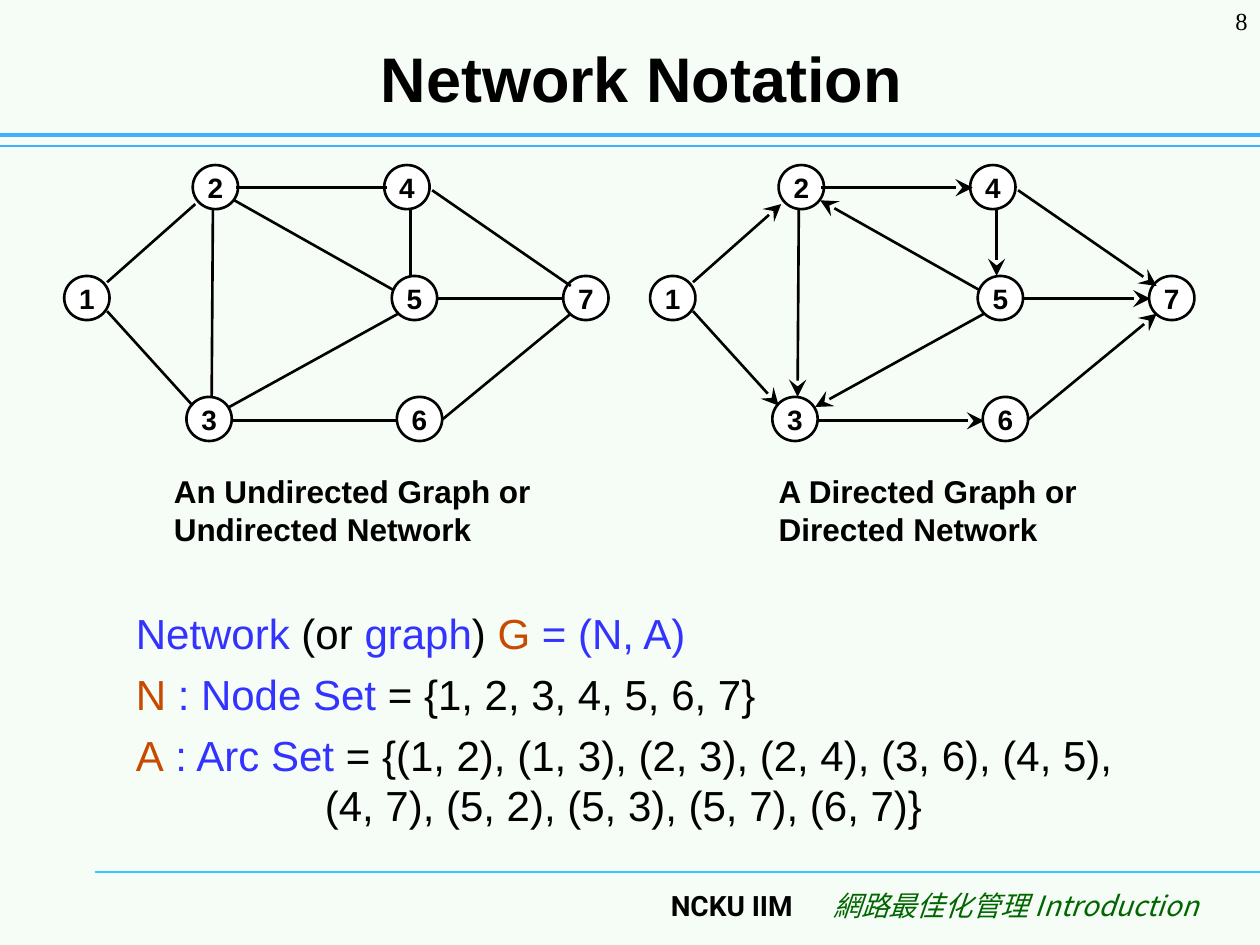
"""Build the Network Notation slide: two example graphs and the set notation."""
from dataclasses import dataclass

from lxml.etree import SubElement
from pptx import Presentation
from pptx.dml.color import RGBColor
from pptx.enum.shapes import MSO_CONNECTOR as Connector, MSO_SHAPE as Shape
from pptx.enum.text import MSO_ANCHOR as Anchor, PP_ALIGN as Align
from pptx.oxml.ns import qn
from pptx.util import Inches, Pt


@dataclass(frozen=True)
class Theme:
    background: str = "F6FCF6"
    ink: str = "000000"
    node: str = "FFFFFF"
    term: str = "3333FF"
    symbol: str = "C64B00"
    course: str = "006600"
    rule: str = "3DB0FF"
    footer_rule: str = "33CCFF"
    font: str = "Arial"
    number_font: str = "Times New Roman"
    unit_font: str = "Roboto"
    course_font: str = "Noto Sans CJK SC"
    title_size: int = 36
    body_size: int = 24
    caption_size: int = 18
    label_size: int = 16
    number_size: int = 14
    stroke: float = 1.5


THEME = Theme()
TITLE = "Network Notation"
PAGE_NUMBER = "8"
UNIT = "NCKU IIM"
COURSE = "網路最佳化管理 Introduction"

NODE_SIZE = (0.36, 0.35)
NODES = {
    1: (0.51, 2.19), 2: (1.53, 1.31), 3: (1.48, 3.15), 4: (3.05, 1.31),
    5: (3.11, 2.19), 6: (3.15, 3.15), 7: (4.47, 2.19),
}
ARCS = {
    (1, 2): (0.85, 2.24, 1.55, 1.62),
    (1, 3): (0.85, 2.47, 1.53, 3.22),
    (2, 3): (1.69, 1.66, 1.68, 3.15),
    (2, 4): (1.87, 1.49, 3.07, 1.49),
    (3, 6): (1.85, 3.34, 3.16, 3.34),
    (6, 7): (3.51, 3.33, 4.53, 2.49),
    (5, 7): (3.46, 2.37, 4.48, 2.37),
    (4, 7): (3.43, 1.51, 4.53, 2.27),
    (4, 5): (3.26, 1.66, 3.26, 2.19),
    (5, 2): (3.12, 2.30, 1.86, 1.59),
    (5, 3): (3.16, 2.49, 1.82, 3.23),
}
GRAPHS = [
    {"shift": 0, "directed": False, "caption_at": (1.38, 3.75, 2.9, 0.6),
     "caption": ["An Undirected Graph or", "Undirected Network"]},
    {"shift": 4.65, "directed": True, "caption_at": (6.18, 3.75, 2.45, 0.6),
     "caption": ["A Directed Graph or", "Directed Network"]},
]
RULES = [
    ((0.75, 6.92, 10, 6.92), THEME.footer_rule, 0.75),
    ((0, 1.16, 10, 1.16), THEME.rule, 0.75),
    ((0, 1.07, 10, 1.07), THEME.rule, 2.5),
]
HANGING = 1.5
NOTATION = [
    [("Network", THEME.term), (" (or ", THEME.ink), ("graph", THEME.term),
     (") ", THEME.ink), ("G", THEME.symbol), (" = (N, A)", THEME.term)],
    [("N", THEME.symbol), (" : Node Set", THEME.term),
     (" = {1, 2, 3, 4, 5, 6, 7}", THEME.ink)],
    [("A", THEME.symbol), (" : Arc Set", THEME.term),
     (" = {(1, 2), (1, 3), (2, 3), (2, 4), (3, 6), (4, 5), "
      "(4, 7), (5, 2), (5, 3), (5, 7), (6, 7)}", THEME.ink)],
]


def rgb(color):
    return RGBColor.from_string(color)


def inches(values):
    return [Inches(value) for value in values]


def add_run(paragraph, text, size, color=THEME.ink, font=THEME.font, bold=False, italic=False):
    run = paragraph.add_run()
    run.text = text
    run.font.size, run.font.name = Pt(size), font
    run.font.bold, run.font.italic = bold, italic
    run.font.color.rgb = rgb(color)
    return run


def add_frame(shapes, box, wrap=True):
    frame = shapes.add_textbox(*inches(box)).text_frame
    frame.word_wrap = wrap
    return frame


def add_line(shapes, ends, color, width, arrow=False):
    line = shapes.add_connector(Connector.STRAIGHT, *inches(ends))
    line.line.color.rgb = rgb(color)
    line.line.width = Pt(width)
    properties = line.element.spPr
    if arrow:
        SubElement(properties.find(qn("a:ln")), qn("a:tailEnd"),
                   type="stealth", w="lg", len="lg")
    SubElement(properties, qn("a:effectLst"))


def add_node(shapes, number, left, top):
    node = shapes.add_shape(Shape.OVAL, *inches((left, top, *NODE_SIZE)))
    node.shadow.inherit = False
    node.fill.solid()
    node.fill.fore_color.rgb = rgb(THEME.node)
    node.line.color.rgb = rgb(THEME.ink)
    node.line.width = Pt(THEME.stroke)
    frame = node.text_frame
    frame.margin_left = frame.margin_right = frame.margin_top = frame.margin_bottom = 0
    frame.vertical_anchor, frame.word_wrap = Anchor.MIDDLE, False
    frame.paragraphs[0].alignment = Align.CENTER
    add_run(frame.paragraphs[0], str(number), THEME.label_size, bold=True)


def add_graph(slide, graph):
    shapes = slide.shapes.add_group_shape().shapes
    shift = graph["shift"]
    for number, (left, top) in NODES.items():
        add_node(shapes, number, left + shift, top)
    for x1, y1, x2, y2 in ARCS.values():
        add_line(shapes, (x1 + shift, y1, x2 + shift, y2),
                 THEME.ink, THEME.stroke, graph["directed"])
    frame = add_frame(shapes, graph["caption_at"], wrap=False)
    frame.margin_left = frame.margin_right = frame.margin_top = frame.margin_bottom = 0
    for index, text in enumerate(graph["caption"]):
        paragraph = frame.add_paragraph() if index else frame.paragraphs[0]
        add_run(paragraph, text, THEME.caption_size, bold=True)


def add_title(slide):
    title = slide.shapes.title
    title.left, title.top, title.width, title.height = inches((0.67, 0.23, 8.84, 0.77))
    title.text_frame.vertical_anchor = Anchor.MIDDLE
    paragraph = title.text_frame.paragraphs[0]
    paragraph.alignment = Align.CENTER
    add_run(paragraph, TITLE, THEME.title_size, bold=True)


def add_notation(slide):
    frame = add_frame(slide.shapes, (0.98, 4.77, 8.27, 1.97))
    for index, parts in enumerate(NOTATION):
        paragraph = frame.add_paragraph() if index else frame.paragraphs[0]
        if index:
            paragraph.space_before = Pt(6)
        indent = paragraph._p.get_or_add_pPr()
        indent.set("marL", str(Inches(HANGING)))
        indent.set("indent", str(-Inches(HANGING)))
        for text, color in parts:
            add_run(paragraph, text, THEME.body_size, color)


def add_right_text(slide, box, text, size, **style):
    paragraph = add_frame(slide.shapes, box).paragraphs[0]
    paragraph.alignment = Align.RIGHT
    return add_run(paragraph, text, size, **style)


def main():
    deck = Presentation()
    deck.slide_width, deck.slide_height = inches((10, 7.5))
    slide = deck.slides.add_slide(deck.slide_layouts[5])
    slide.background.fill.solid()
    slide.background.fill.fore_color.rgb = rgb(THEME.background)
    for ends, color, width in RULES:
        add_line(slide.shapes, ends, color, width)
    add_right_text(slide, (1.83, 7, 4.56, 0.5), UNIT, THEME.label_size,
                   font=THEME.unit_font, bold=True)
    course = add_right_text(slide, (6.39, 7, 3.22, 0.5), COURSE, THEME.label_size,
                            color=THEME.course, font=THEME.course_font, italic=True)
    SubElement(course.font._element, qn("a:ea"), typeface=THEME.course_font)
    add_right_text(slide, (9.17, 0, 0.83, 0.5), PAGE_NUMBER, THEME.number_size,
                   font=THEME.number_font)
    add_title(slide)
    add_notation(slide)
    for graph in GRAPHS:
        add_graph(slide, graph)
    deck.save("out.pptx")


if __name__ == "__main__":
    main()
